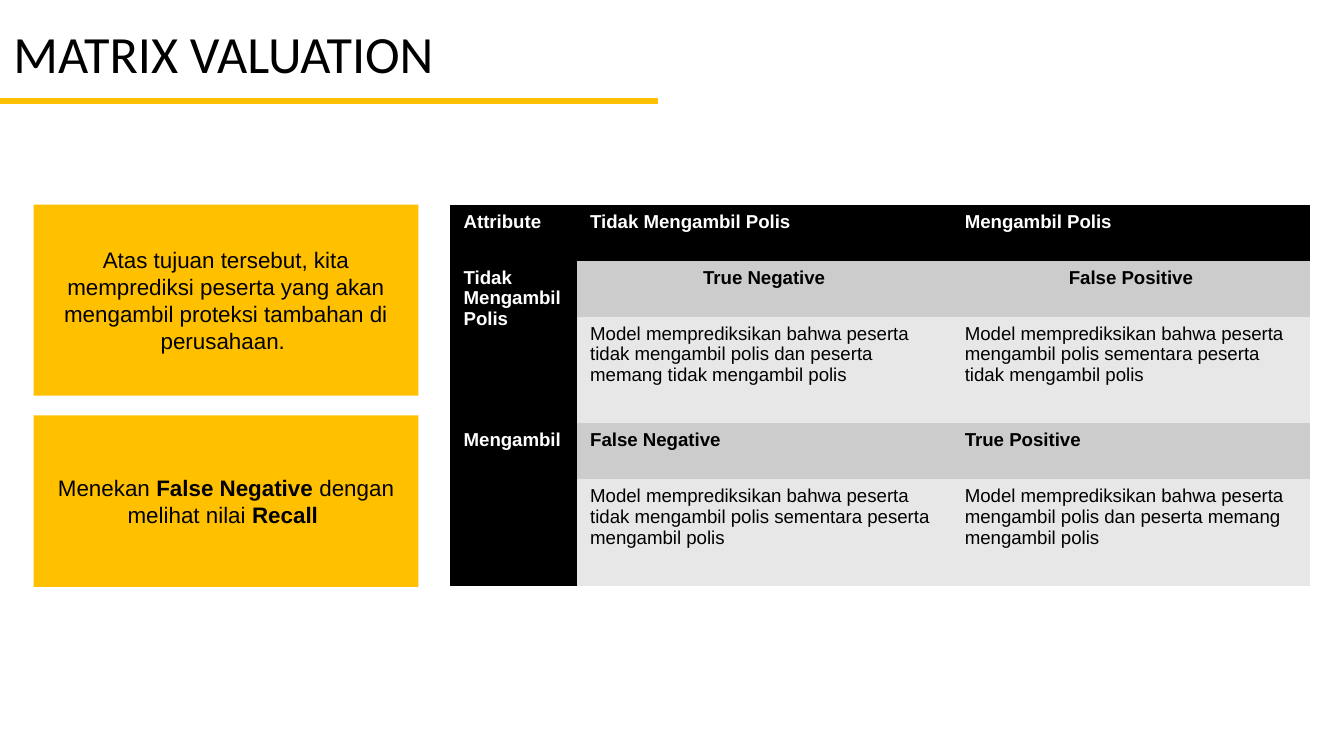
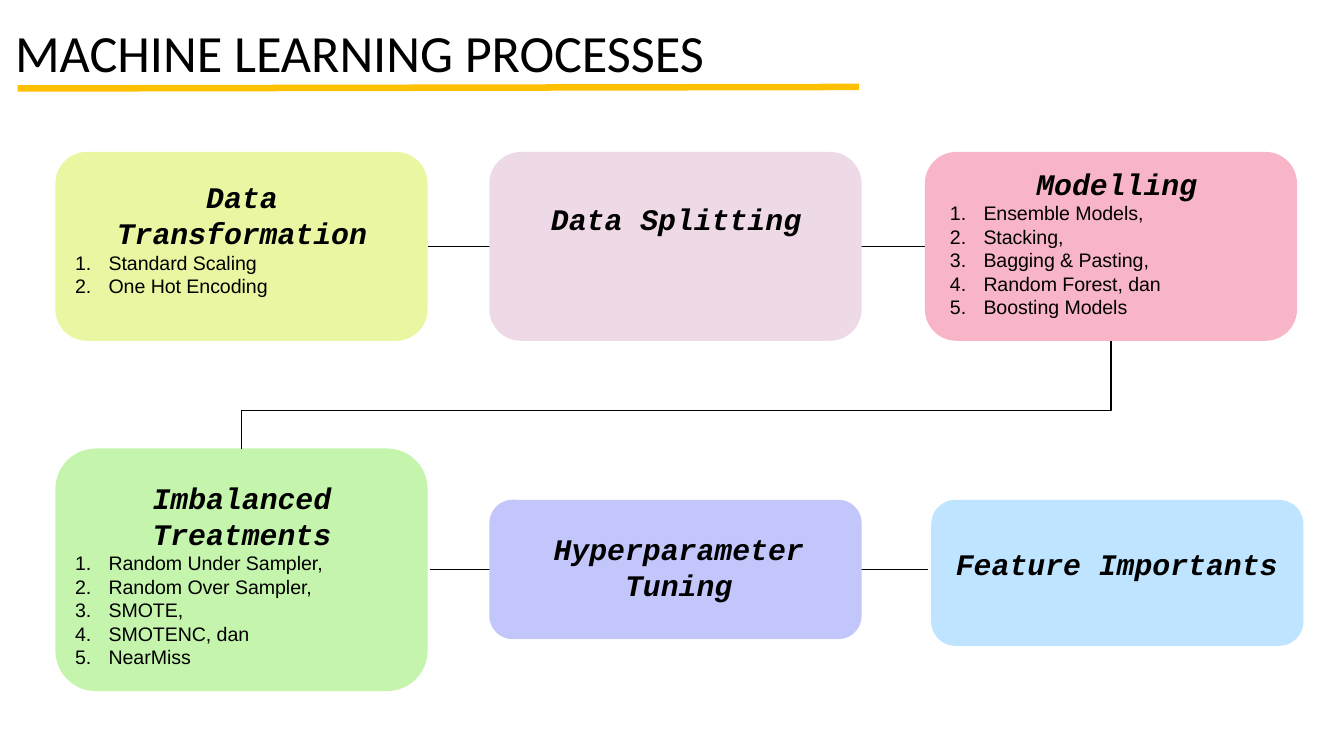
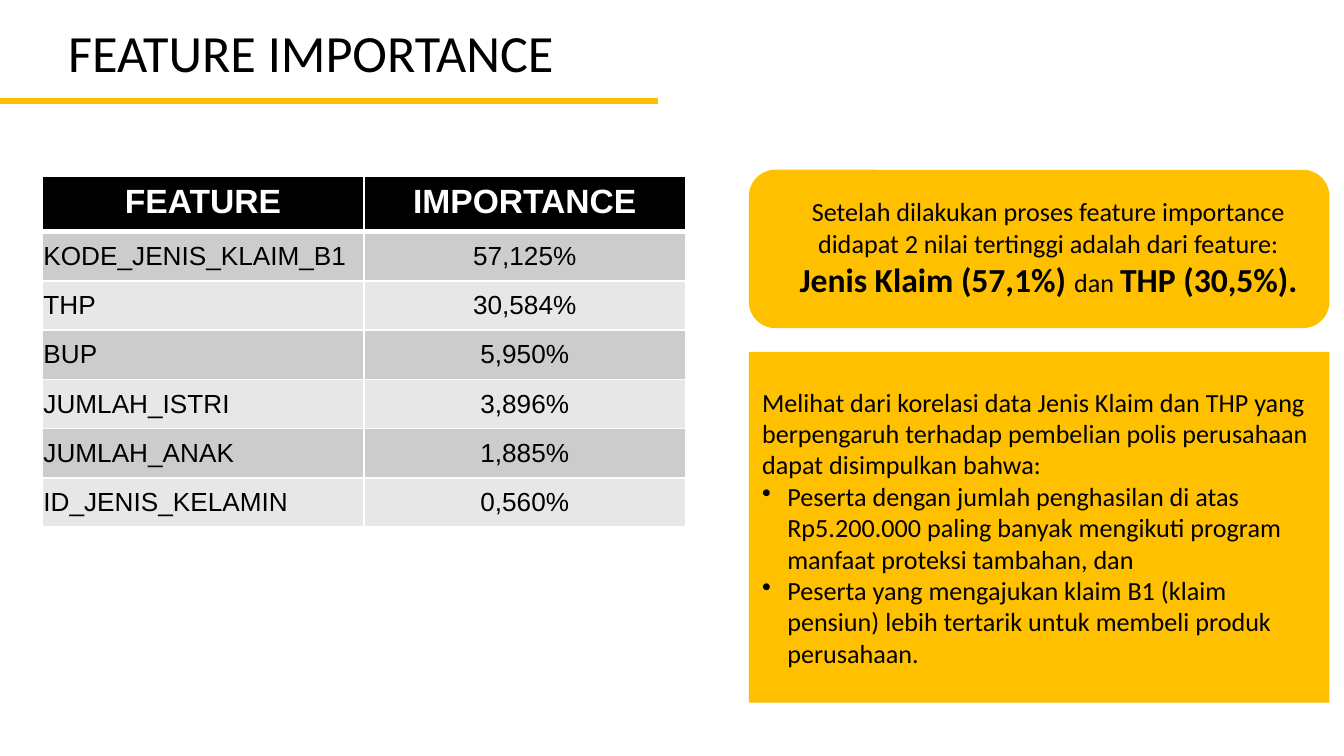
from dataclasses import dataclass

from lxml import etree
from pptx import Presentation
from pptx.dml.color import RGBColor
from pptx.enum.shapes import MSO_CONNECTOR as Conn, MSO_SHAPE as Shape
from pptx.enum.text import MSO_ANCHOR as Anchor, PP_ALIGN as Align
from pptx.oxml.ns import qn
from pptx.util import Pt

# Shared look
BLACK, WHITE, GOLD = "000000", "FFFFFF", "FFC000"
DARK_GREY, LIGHT_GREY = "CCCCCC", "E7E7E7"
PLAIN_TABLE = "{2D5ABB26-0587-4C30-8999-92F81FD0307C}"
TITLE = dict(size=28, name="Calibri")
NOTE = dict(size=12, name="Arial")
HEADING = dict(size=16, name="Courier New", bold=True, italic=True)
ITEM = dict(size=10.5, name="Arial")
FINDING = dict(size=14, name="Calibri")
EVEN_INSETS = (7.2, 7.2, 7.2, 7.2)
SIDE_INSETS = (7.2, 3.6, 7.2, 3.6)


@dataclass
class Box:
    left: float
    top: float
    width: float
    height: float

    def lengths(self) -> tuple:
        return Pt(self.left), Pt(self.top), Pt(self.width), Pt(self.height)


@dataclass
class Run:
    text: str
    fmt: dict


@dataclass
class Para:
    runs: list[Run]
    align: Align = Align.LEFT
    bullet: str = ""
    indent: float = 0


@dataclass
class Card:
    box: Box
    text_box: Box
    color: str
    heading: str
    items: tuple[str, ...] = ()
    drop: float = 0


@dataclass
class Cell:
    text: str
    fill: str
    color: str = BLACK
    bold: bool = False
    align: Align = Align.LEFT
    size: float = 10
    insets: tuple = SIDE_INSETS
    anchor: Anchor = Anchor.TOP


def rgb(color: str) -> RGBColor:
    return RGBColor.from_string(color)


# Text
def add_bullet(p, para: Para) -> None:
    p_pr = p._p.get_or_add_pPr()
    p_pr.set("marL", str(Pt(para.indent)))
    p_pr.set("indent", str(-Pt(para.indent)))
    if para.bullet == "1.":
        etree.SubElement(p_pr, qn("a:buAutoNum"), type="arabicPeriod")
    else:
        etree.SubElement(p_pr, qn("a:buChar"), char=para.bullet)


def write(tf, paras: list[Para], anchor: Anchor = Anchor.TOP,
          insets: tuple = SIDE_INSETS) -> None:
    tf.word_wrap = True
    tf.vertical_anchor = anchor
    for side, inset in zip(("left", "top", "right", "bottom"), insets):
        setattr(tf, f"margin_{side}", Pt(inset))
    for i, para in enumerate(paras):
        p = tf.paragraphs[0] if i == 0 else tf.add_paragraph()
        p.alignment = para.align
        if para.bullet:
            add_bullet(p, para)
        for run in para.runs:
            r = p.add_run()
            r.text = run.text
            fmt = dict(color=BLACK, bold=False) | run.fmt
            r.font.color.rgb = rgb(fmt.pop("color"))
            fmt["size"] = Pt(fmt["size"])
            for name, value in fmt.items():
                setattr(r.font, name, value)


def add_text(s, box: Box, paras: list[Para], **layout) -> None:
    write(s.shapes.add_textbox(*box.lengths()).text_frame, paras, **layout)


# Shapes and lines
def add_panel(s, box: Box, color: str, kind: Shape = Shape.RECTANGLE):
    sp = s.shapes.add_shape(kind, *box.lengths())
    sp.shadow.inherit = False
    sp.fill.solid()
    sp.fill.fore_color.rgb = rgb(color)
    sp.line.fill.background()
    return sp


def add_line(s, x1: float, y1: float, x2: float, y2: float,
             color: str = BLACK, width: float = 0.75,
             kind: Conn = Conn.STRAIGHT):
    line = s.shapes.add_connector(kind, Pt(x1), Pt(y1), Pt(x2), Pt(y2))
    line.line.color.rgb = rgb(color)
    line.line.width = Pt(width)
    etree.SubElement(line._element.spPr, qn("a:effectLst"))
    return line


def add_bent_line(s, x1: float, y1: float, x2: float, y2: float,
                  bend: float) -> None:
    """Go down from the start, across to the left, and down to the end."""
    mid_x, mid_y = (x1 + x2) / 2, (y1 + y2) / 2
    half_w, half_h = (y2 - y1) / 2, (x1 - x2) / 2
    line = add_line(s, mid_x - half_w, mid_y - half_h,
                    mid_x + half_w, mid_y + half_h, kind=Conn.ELBOW)
    sp_pr = line._element.spPr
    sp_pr.find(qn("a:xfrm")).set("rot", str(90 * 60000))
    guides = sp_pr.find(qn("a:prstGeom")).find(qn("a:avLst"))
    etree.SubElement(guides, qn("a:gd"), name="adj1",
                     fmla=f"val {round(bend * 100000)}")


def add_slide(prs, title: str, box: Box, rule: tuple = (0, 54, 352.3, 54),
              align: Align = Align.LEFT):
    s = prs.slides.add_slide(prs.slide_layouts[5])
    sp = s.shapes.title
    sp.left, sp.top, sp.width, sp.height = box.lengths()
    write(sp.text_frame, [Para([Run(title, TITLE)], align)])
    add_line(s, *rule, color=GOLD, width=3.5)
    return s


def add_card(s, card: Card):
    sp = add_panel(s, card.box, card.color, Shape.ROUNDED_RECTANGLE)
    paras = [Para([Run(card.heading, HEADING)], Align.CENTER)]
    paras += [Para([Run(item, ITEM)], bullet="1.", indent=18)
              for item in card.items]
    add_text(s, card.text_box, paras,
             insets=(7.2, 7.2 + card.drop, 7.2, 7.2))
    return sp


# Tables
def add_table(s, left: float, top: float, cols: list[float],
              rows: list[float], cells: list[list]):
    box = Box(left, top, sum(cols), sum(rows))
    table = s.shapes.add_table(len(rows), len(cols), *box.lengths()).table
    table.first_row = table.horz_banding = False
    table._tbl.tblPr.find(qn("a:tableStyleId")).text = PLAIN_TABLE
    for col, width in zip(table.columns, cols):
        col.width = Pt(width)
    for row, height in zip(table.rows, rows):
        row.height = Pt(height)
    for i, line in enumerate(cells):
        for j, cell in enumerate(line):
            target = table.cell(i, j)
            if cell is None:
                table.cell(i - 1, j).merge(target)
                continue
            fmt = dict(size=cell.size, name="Arial", bold=cell.bold,
                       color=cell.color)
            write(target.text_frame, [Para([Run(cell.text, fmt)], cell.align)])
            target.vertical_anchor = cell.anchor
            for side, inset in zip(("left", "top", "right", "bottom"),
                                   cell.insets):
                setattr(target, f"margin_{side}", Pt(inset))
            target.fill.solid()
            target.fill.fore_color.rgb = rgb(cell.fill)
    return table


def set_borders(cell, color: str, widths: dict[str, float]) -> None:
    tc_pr = cell._tc.get_or_add_tcPr()
    for i, (side, width) in enumerate(widths.items()):
        ln = etree.Element(qn(f"a:ln{side}"), w=str(Pt(width)))
        fill = etree.SubElement(ln, qn("a:solidFill"))
        etree.SubElement(fill, qn("a:srgbClr"), val=color)
        tc_pr.insert(i, ln)


# Slide 1
def matrix_slide(prs) -> None:
    s = add_slide(prs, "MATRIX VALUATION", Box(0, 8, 360, 41))

    def head(text: str) -> Cell:
        return Cell(text, BLACK, WHITE, True)

    def outcome(text: str, align: Align = Align.LEFT) -> Cell:
        return Cell(text, DARK_GREY, bold=True, align=align)

    def meaning(text: str) -> Cell:
        return Cell("Model memprediksikan bahwa peserta " + text, LIGHT_GREY)

    add_table(s, 241.2, 109.6, [67.8, 200.7, 192.3],
              [30, 30, 57.3, 30, 57.3], [
        [head("Attribute"), head("Tidak Mengambil Polis"),
         head("Mengambil Polis")],
        [head("Tidak Mengambil Polis"),
         outcome("True Negative", Align.CENTER),
         outcome("False Positive", Align.CENTER)],
        [None,
         meaning("tidak mengambil polis dan peserta memang tidak "
                 "mengambil polis"),
         meaning("mengambil polis sementara peserta tidak mengambil polis")],
        [head("Mengambil"), outcome("False Negative"),
         outcome("True Positive")],
        [None,
         meaning("tidak mengambil polis sementara peserta mengambil polis"),
         meaning("mengambil polis dan peserta memang mengambil polis")],
    ])

    strong = NOTE | dict(bold=True)
    notes = [
        (Box(18, 109.6, 206.2, 102.4),
         [Run("Atas tujuan tersebut, kita memprediksi peserta yang akan "
              "mengambil proteksi tambahan di perusahaan. ", NOTE)]),
        (Box(18, 222.5, 206.2, 92),
         [Run("Menekan ", NOTE), Run("False Negative ", strong),
          Run("dengan melihat nilai ", NOTE), Run("Recall ", strong)]),
    ]
    for box, runs in notes:
        write(add_panel(s, box, GOLD).text_frame,
              [Para(runs, Align.CENTER)], anchor=Anchor.MIDDLE)


# Slide 2
def process_slide(prs) -> None:
    s = add_slide(prs, "MACHINE LEARNING PROCESSES", Box(0.9, 7.3, 495.4, 41),
                  rule=(9.5, 47.4, 460.1, 46.6))
    width, text_width = 199.4, 193
    top, height = 81.4, 101.2
    x1, x2, x3 = 29.7, 262.2, 495.5
    cards = [
        Card(Box(x1, top, width, height), Box(33.1, 88.6, text_width, 76.3),
             "EAF6A2", "Data Transformation",
             ("Standard Scaling", "One Hot Encoding")),
        Card(Box(x2, top, width, height), Box(265.7, 88.6, text_width, 76.3),
             "EEDAE7", "Data Splitting", drop=18.3),
        Card(Box(x3, top, width, height), Box(501.8, 81.4, text_width, 76.3),
             "F9B5C8", "Modelling",
             ("Ensemble Models,", "Stacking,", "Bagging & Pasting,",
              "Random Forest, dan", "Boosting Models")),
        Card(Box(x1, 240.3, width, 130), Box(33.1, 249.8, text_width, 98),
             "C5F5AD", "Imbalanced Treatments",
             ("Random Under Sampler,", "Random Over Sampler,", "SMOTE,",
              "SMOTENC, dan", "NearMiss")),
        Card(Box(x2, 267.8, width, 74.6), Box(267.1, 277.2, text_width, 56.2),
             "C3C6FB", "Hyperparameter Tuning"),
        Card(Box(498.9, 267.8, width, 78.2),
             Box(501.8, 273.6, text_width, 59),
             "BFE4FF", "Feature Importants", drop=18.3),
    ]
    # Lines run behind the middle cards
    add_line(s, 230.6, 305.2, 497, 305.2)
    upper = add_line(s, x1 + width, top + height / 2, x3, top + height / 2)
    shapes = [add_card(s, card) for card in cards]
    upper.begin_connect(shapes[0], 3)
    upper.end_connect(shapes[2], 1)
    add_bent_line(s, x3 + width / 2, top + height, x1 + width / 2, 240.3,
                  0.65)


# Slide 3
def importance_slide(prs) -> None:
    s = add_slide(prs, "FEATURE IMPORTANCE", Box(-15, 7, 363, 41),
                  align=Align.CENTER)

    # Conclusions
    strong = dict(size=18, name="Calibri", bold=True)
    add_panel(s, Box(401.2, 91, 311, 84.8), GOLD, Shape.ROUNDED_RECTANGLE)
    add_text(s, Box(411.2, 107.2, 301, 50.6), [
        Para([Run("Setelah dilakukan proses feature importance didapat 2 "
                  "nilai tertinggi adalah dari feature:", FINDING)],
             Align.CENTER),
        Para([Run("Jenis Klaim (57,1%) ", strong), Run("dan ", FINDING),
              Run("THP (30,5%).", strong)], Align.CENTER),
    ], anchor=Anchor.MIDDLE, insets=EVEN_INSETS)

    points = ["Peserta dengan jumlah penghasilan di atas Rp5.200.000 paling "
              "banyak mengikuti program manfaat proteksi tambahan, dan",
              "Peserta yang mengajukan klaim B1 (klaim pensiun) lebih "
              "tertarik untuk membeli produk perusahaan."]
    intro = Para([Run("Melihat dari korelasi data Jenis Klaim dan THP yang "
                      "berpengaruh terhadap pembelian polis perusahaan "
                      "dapat disimpulkan bahwa:", FINDING)])
    panel = add_panel(s, Box(401.2, 188.5, 311, 188), GOLD)
    write(panel.text_frame,
          [intro] + [Para([Run(point, FINDING)], bullet="•", indent=13.5)
                     for point in points],
          anchor=Anchor.MIDDLE, insets=EVEN_INSETS)

    # Feature table
    features = [("KODE_JENIS_KLAIM_B1", "57,125%"), ("THP", "30,584%"),
                ("BUP", "5,950%"), ("JUMLAH_ISTRI", "3,896%"),
                ("JUMLAH_ANAK", "1,885%"), ("ID_JENIS_KELAMIN", "0,560%")]
    cells = [[Cell(text, BLACK, WHITE, True, Align.CENTER, 18)
              for text in ("FEATURE", "IMPORTANCE")]]
    for i, row in enumerate(features):
        fill = LIGHT_GREY if i % 2 else DARK_GREY
        cells.append([Cell(text, fill, align=align, size=14,
                           insets=(0.7, 2.9, 0.7, 2.9), anchor=Anchor.MIDDLE)
                      for text, align in zip(row, (Align.LEFT, Align.CENTER))])
    table = add_table(s, 22.6, 94.5, [172.4] * 2,
                      [29.6] + [26.4] * len(features), cells)
    for i in range(len(cells)):
        for j in range(2):
            set_borders(table.cell(i, j), WHITE,
                        dict(L=1, R=1, T=3 if i == 1 else 1,
                             B=3 if i == 0 else 1))


def main() -> None:
    prs = Presentation()
    prs.slide_width, prs.slide_height = Pt(720), Pt(405)
    for build in (matrix_slide, process_slide, importance_slide):
        build(prs)
    prs.save("out.pptx")


if __name__ == "__main__":
    main()
